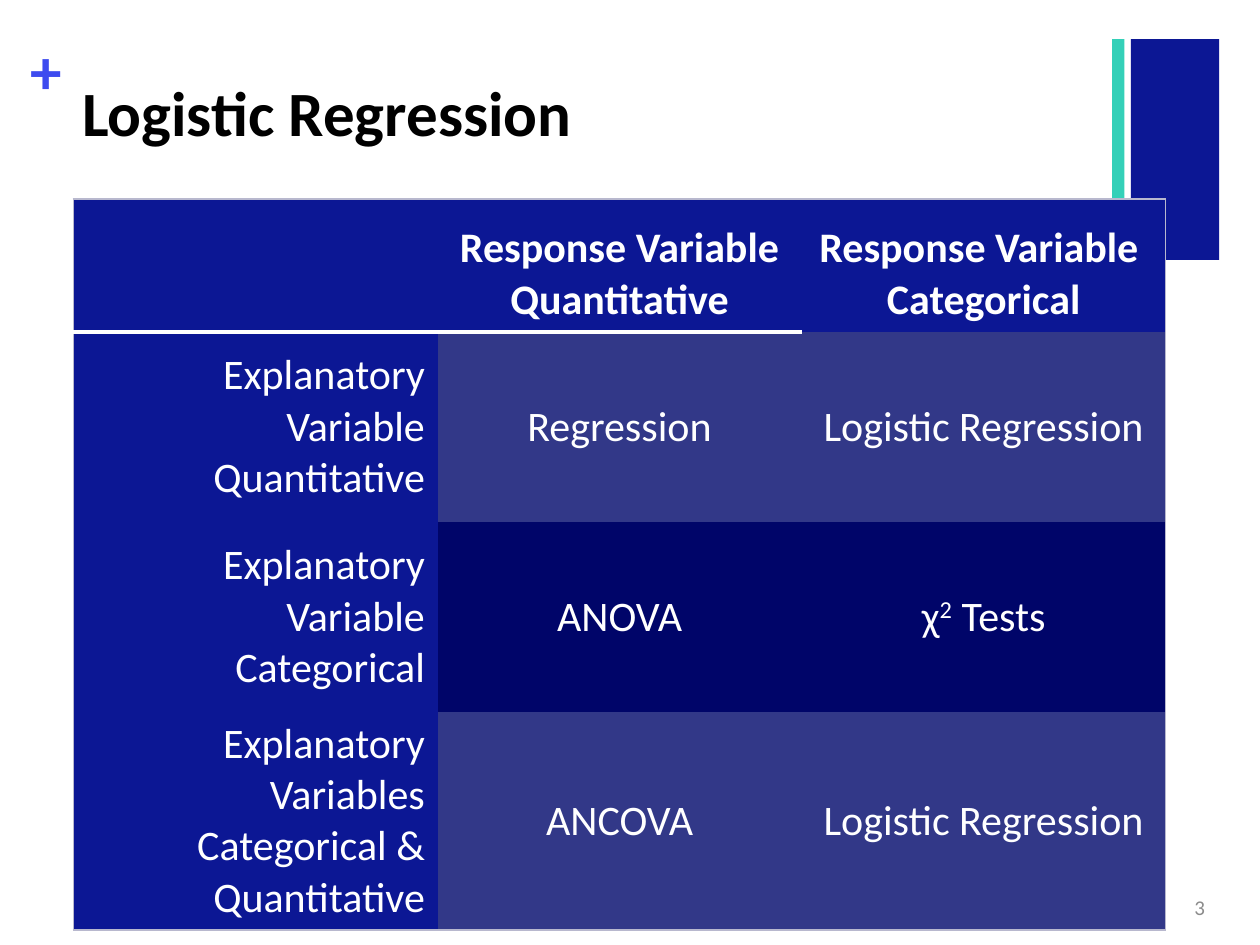
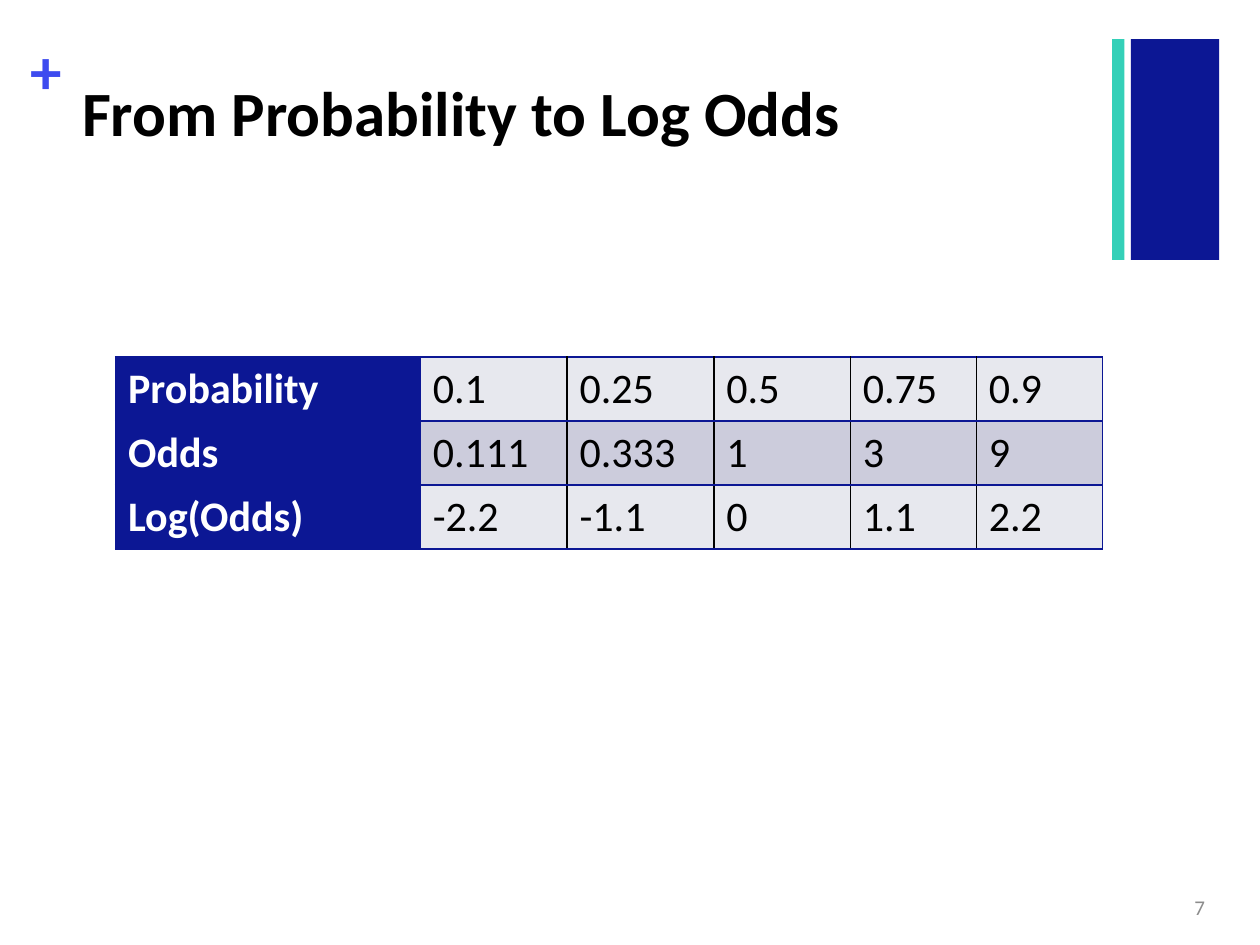
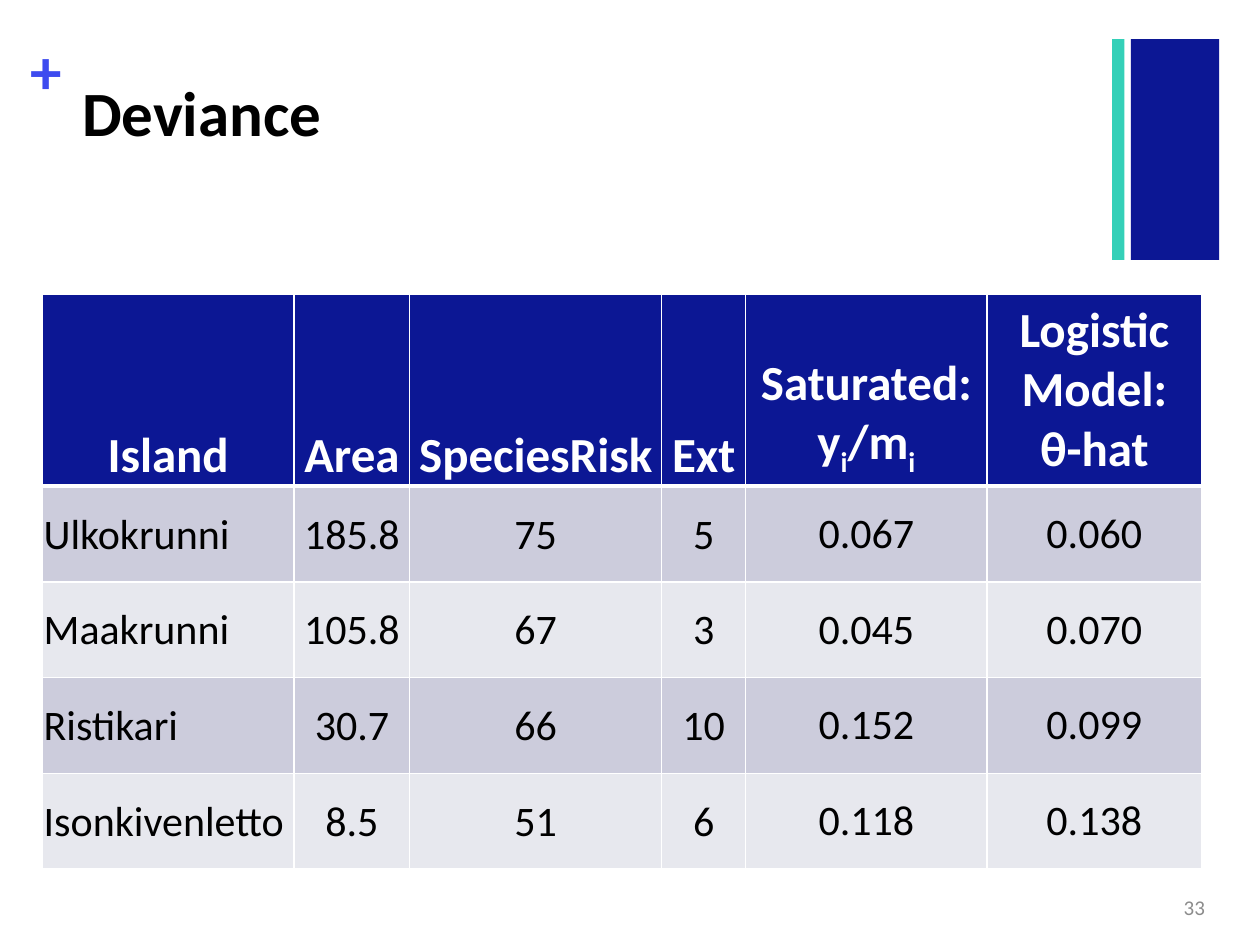
from lxml.etree import SubElement
from pptx import Presentation
from pptx.dml.color import RGBColor as RGB
from pptx.enum.shapes import MSO_SHAPE as SHAPE
from pptx.enum.text import MSO_ANCHOR as ANCHOR, MSO_AUTO_SIZE as AUTO, PP_ALIGN as ALIGN
from pptx.oxml.ns import qn
from pptx.util import Cm, Pt

FONT = "Calibri"
HUES = {
    "navy": "0C1794", "teal": "34D0B8", "plus": "3D4BEF", "page": "8C8C8C",
    "black": "000000", "white": "FFFFFF", "frame": "B8B8CE",
    "slate": "323888", "deep": "000569", "lilac": "CCCCDC", "pale": "E7E8EE",
}
BANDS = [("navy", 22.8, 1.78), ("teal", 22.42, 0.25)]
LEFT, MID, RIGHT = ALIGN.LEFT, ALIGN.CENTER, ALIGN.RIGHT

# In cells, "|" splits runs; "^" raises a run and "_" lowers it.
METHODS = [
    ["", "Response Variable\nQuantitative", "Response Variable \nCategorical"],
    ["Explanatory Variable\nQuantitative", "Regression", "Logistic Regression"],
    ["Explanatory Variable\nCategorical", "ANOVA", "χ|^2| Tests"],
    ["Explanatory Variables\nCategorical & Quantitative", "ANCOVA", "Logistic Regression"],
]
ODDS = [
    ["Probability", "0.1", "0.25", "0.5", "0.75", "0.9"],
    ["Odds", "0.111", "0.333", "1", "3", "9"],
    ["Log(Odds)", "-2.2", "-1.1", "0", "1.1", "2.2"],
]
ISLANDS = [
    ["Island", "Area", "SpeciesRisk", "Ext", "Saturated:\ny|_i|/m|_i", "Logistic Model:\nθ-hat"],
    ["Ulkokrunni", "185.8", "75", "5", "0.067", "0.060"],
    ["Maakrunni", "105.8", "67", "3", "0.045", "0.070"],
    ["Ristikari", "30.7", "66", "10", "0.152", "0.099"],
    ["Isonkivenletto", "8.5", "51", "6", "0.118", "0.138"],
]


def method_look(row, col):
    head, last = row == 0, len(METHODS) - 1
    frame, rule = ("frame", 1), ("white", 3)
    ruled = col < 2
    return {
        "fill": "navy" if head or col == 0 else "slate" if row % 2 else "deep",
        "ink": "white", "bold": head,
        "align": RIGHT if col == 0 and not head else MID,
        "anchor": ANCHOR.BOTTOM if head else ANCHOR.MIDDLE,
        "edges": {
            "L": frame if col == 0 else None,
            "R": frame if col == 2 else None,
            "T": frame if head else rule if row == 1 and ruled else None,
            "B": frame if row == last else rule if head and ruled else None,
        },
    }


def odds_look(row, col):
    head, navy, black = col == 0, ("navy", 1), ("black", 1)
    return {
        "fill": "navy" if head else "lilac" if row % 2 else "pale",
        "ink": "white" if head else "black", "bold": head,
        "edges": {"L": navy if col < 2 else black,
                  "R": navy if col in (0, 5) else black,
                  "T": navy, "B": navy},
    }


def island_look(row, col):
    head, thin, thick = row == 0, ("white", 1), ("white", 3)
    return {
        "fill": "navy" if head else "lilac" if row % 2 else "pale",
        "ink": "white" if head else "black", "bold": head,
        "size": 28 if head else 24,
        "align": LEFT if col == 0 and not head else MID,
        "anchor": ANCHOR.BOTTOM if head else ANCHOR.MIDDLE,
        "tight": col < 4,
        "edges": {"L": thin, "R": thin,
                  "T": thick if row == 1 else thin,
                  "B": thick if head else thin},
    }


SLIDES = [
    {"title": "Logistic Regression", "page": "3", "at": (1.48, 4.01), "cells": METHODS,
     "cols": [7.34] * 3, "rows": [2.68, 3.83, 3.83, 4.4], "look": method_look},
    {"title": "From Probability to Log Odds", "page": "7", "at": (2.33, 7.2), "cells": ODDS,
     "cols": [6.14, 2.96, 2.96, 2.75, 2.54, 2.54], "rows": [1.29] * 3, "look": odds_look},
    {"title": "Deviance", "page": "33", "at": (0.85, 5.93), "cells": ISLANDS,
     "cols": [5.08, 2.33, 5.08, 1.69, 4.87, 4.32], "rows": [3.87] + [1.93] * 4,
     "look": island_look},
]


def hue(name):
    return RGB.from_string(HUES[name])


def style(para, size, ink, bold=False, align=LEFT):
    font = para.font
    font.name, font.size, font.bold = FONT, Pt(size), bold
    font.color.rgb = hue(ink)
    para.alignment = align


def place(shape, *box):
    shape.left, shape.top, shape.width, shape.height = map(Cm, box)


def add_label(slide, text, box, size, ink, bold=False, align=LEFT):
    label = slide.shapes.add_textbox(*map(Cm, box))
    frame = label.text_frame
    frame.word_wrap = True
    frame.text = text
    style(frame.paragraphs[0], size, ink, bold, align)
    return label


def dress(layout, slide):
    """Draw the bands and the plus sign on the slide, then move them to its layout."""
    parts = []
    for ink, left, width in BANDS:
        band = slide.shapes.add_shape(SHAPE.RECTANGLE, Cm(left), Cm(0.79), Cm(width), Cm(4.45))
        band.shadow.inherit = False
        band.fill.solid()
        band.fill.fore_color.rgb = hue(ink)
        band.line.fill.background()
        parts.append(band)
    plus = add_label(slide, "+", (0.61, 0.64, 0.74, 1.55), 36, "plus", True)
    frame = plus.text_frame
    frame.margin_left = frame.margin_right = frame.margin_top = frame.margin_bottom = 0
    for part in parts + [plus]:
        layout.shapes.element.append(part.element)


def set_edges(cell, edges):
    props = cell._tc.get_or_add_tcPr()
    for side in "LRTB":
        line = SubElement(props, qn(f"a:ln{side}"))
        if edges[side]:
            ink, width = edges[side]
            line.set("w", str(Pt(width)))
            fill = SubElement(line, qn("a:solidFill"))
            SubElement(fill, qn("a:srgbClr")).set("val", HUES[ink])
        else:
            SubElement(line, qn("a:noFill"))


def write(cell, text, look):
    frame = cell.text_frame
    for n, row in enumerate(text.split("\n")):
        para = frame.add_paragraph() if n else frame.paragraphs[0]
        style(para, look.get("size", 24), look["ink"], look["bold"], look.get("align", LEFT))
        for part in row.split("|"):
            shift = {"^": "30000", "_": "-25000"}.get(part[:1])
            run = para.add_run()
            run.text = part[1:] if shift else part
            if shift:
                run._r.get_or_add_rPr().set("baseline", shift)


def add_grid(slide, spec):
    cols, rows, cells = spec["cols"], spec["rows"], spec["cells"]
    box = (*spec["at"], sum(cols), sum(rows))
    table = slide.shapes.add_table(len(rows), len(cols), *map(Cm, box)).table
    table.first_row = table.horz_banding = False
    for col, width in zip(table.columns, cols):
        col.width = Cm(width)
    for row, height in zip(table.rows, rows):
        row.height = Cm(height)
    for r, texts in enumerate(cells):
        for c, text in enumerate(texts):
            cell, look = table.cell(r, c), spec["look"](r, c)
            set_edges(cell, look["edges"])
            cell.fill.solid()
            cell.fill.fore_color.rgb = hue(look["fill"])
            cell.vertical_anchor = look.get("anchor", ANCHOR.TOP)
            if look.get("tight"):
                cell.margin_left = cell.margin_right = cell.margin_top = Cm(0.03)
                cell.margin_bottom = 0
            write(cell, text, look)


def add_title(slide, text):
    title = slide.shapes.title
    place(title, 1.4, 1.35, 20.98, 3.1)
    frame = title.text_frame
    frame.text = text
    frame.vertical_anchor = ANCHOR.TOP
    frame.auto_size = AUTO.NONE
    style(frame.paragraphs[0], 36, "black", True)


def main():
    deck = Presentation()
    deck.slide_width, deck.slide_height = Cm(25.4), Cm(19.05)
    layout = deck.slide_layouts[5]
    for n, spec in enumerate(SLIDES):
        slide = deck.slides.add_slide(layout)
        if n == 0:
            dress(layout, slide)
        add_title(slide, spec["title"])
        page = add_label(slide, spec["page"], (18.62, 17.78, 5.92, 1.02), 12, "page", align=RIGHT)
        page.text_frame.vertical_anchor = ANCHOR.MIDDLE
        add_grid(slide, spec)
    deck.save("out.pptx")


if __name__ == "__main__":
    main()
